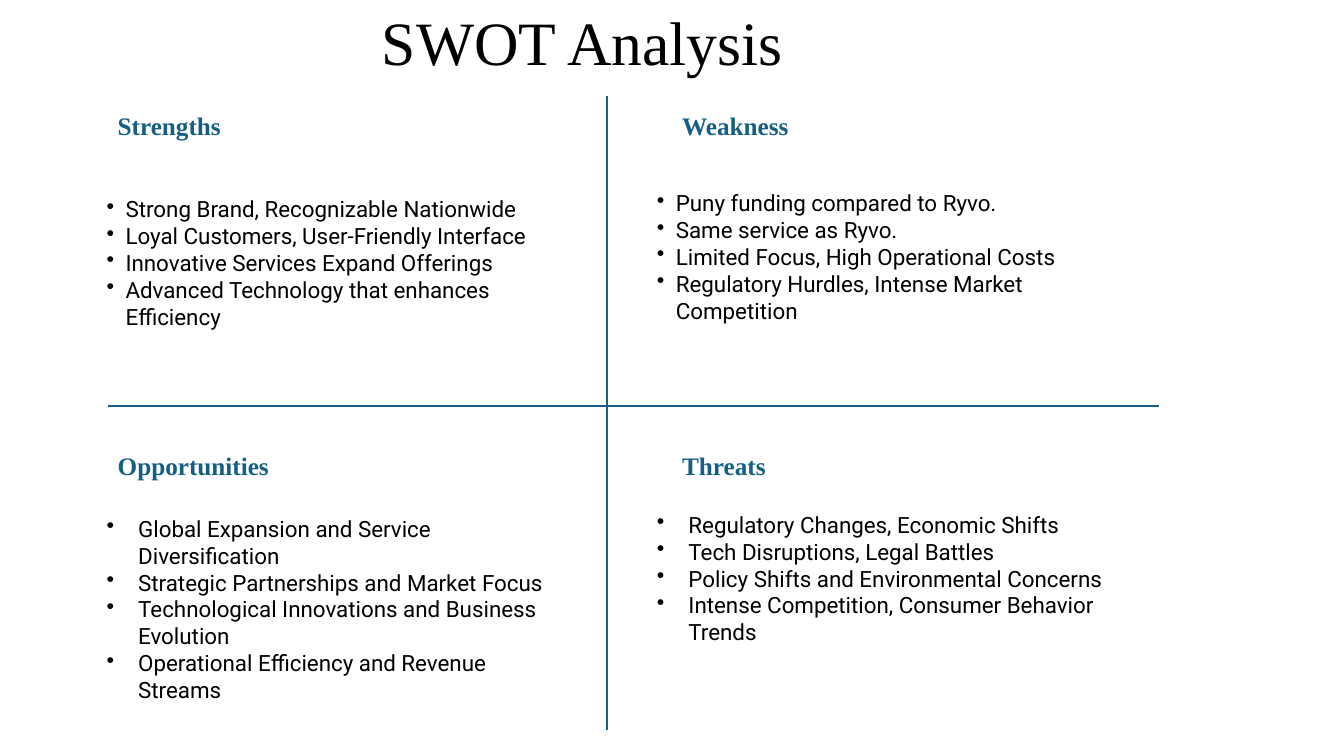
"""Build a SWOT analysis slide with four quadrants divided by two lines."""
from dataclasses import dataclass

from lxml.etree import SubElement
from pptx import Presentation
from pptx.dml.color import RGBColor
from pptx.enum.shapes import MSO_CONNECTOR
from pptx.enum.text import MSO_ANCHOR, MSO_AUTO_SIZE
from pptx.oxml.ns import qn
from pptx.slide import Slide
from pptx.text.text import TextFrame, _Paragraph as Paragraph
from pptx.util import Pt

BLACK = RGBColor(0x00, 0x00, 0x00)
TEAL = RGBColor(0x15, 0x60, 0x82)

TITLE_FORMAT = {"name": "Times New Roman", "size": Pt(44)}
HEADING_FORMAT = {"name": "Times New Roman", "size": Pt(18), "bold": True}
ITEM_FORMAT = {"name": "Roboto", "size": Pt(16)}

HEADING_HEIGHT = 28.8
LIST_HEIGHT = 104.4


@dataclass(frozen=True)
class Box:
    left: float
    top: float
    width: float
    height: float


@dataclass(frozen=True)
class Quadrant:
    heading: str
    heading_box: Box
    list_box: Box
    indent: float
    items: tuple[str, ...]


@dataclass(frozen=True)
class Divider:
    begin_x: float
    begin_y: float
    end_x: float
    end_y: float


DIVIDERS = (
    Divider(433.4, 68.4, 433.4, 521.3),
    Divider(77, 290.2, 828, 290.2),
)

QUADRANTS = (
    Quadrant(
        "Strengths",
        Box(77, 75.6, 93.6, HEADING_HEIGHT),
        Box(69.1, 136.1, 347, LIST_HEIGHT),
        13.5,
        (
            "Strong Brand, Recognizable Nationwide",
            "Loyal Customers, User-Friendly Interface",
            "Innovative Services Expand Offerings",
            "Advanced Technology that enhances Efficiency",
        ),
    ),
    Quadrant(
        "Weakness",
        Box(480.2, 75.6, 91.4, HEADING_HEIGHT),
        Box(462.2, 131.8, 348.5, LIST_HEIGHT),
        13.5,
        (
            "Puny funding compared to Ryvo.",
            "Same service as Ryvo.",
            "Limited Focus, High Operational Costs",
            "Regulatory Hurdles, Intense Market Competition",
        ),
    ),
    Quadrant(
        "Opportunities",
        Box(77, 318.2, 128.2, HEADING_HEIGHT),
        Box(69.1, 364.3, 347, LIST_HEIGHT),
        22.5,
        (
            "Global Expansion and Service Diversification",
            "Strategic Partnerships and Market Focus",
            "Technological Innovations and Business Evolution",
            "Operational Efficiency and Revenue Streams",
        ),
    ),
    Quadrant(
        "Threats",
        Box(480.2, 318.2, 79.2, HEADING_HEIGHT),
        Box(462.2, 361.4, 333.4, LIST_HEIGHT),
        22.5,
        (
            "Regulatory Changes, Economic Shifts",
            "Tech Disruptions, Legal Battles",
            "Policy Shifts and Environmental Concerns",
            "Intense Competition, Consumer Behavior Trends",
        ),
    ),
)


def add_text_frame(slide: Slide, box: Box, wrap: bool, auto_size: MSO_AUTO_SIZE) -> TextFrame:
    shape = slide.shapes.add_textbox(Pt(box.left), Pt(box.top), Pt(box.width), Pt(box.height))
    frame = shape.text_frame
    frame.word_wrap = wrap
    frame.auto_size = auto_size
    return frame


def write(paragraph: Paragraph, text: str, values: dict, color: RGBColor) -> None:
    run = paragraph.add_run()
    run.text = text
    for name, value in values.items():
        setattr(run.font, name, value)
    run.font.color.rgb = color


def add_bullet(paragraph: Paragraph, indent: float) -> None:
    properties = paragraph._p.get_or_add_pPr()
    properties.set("marL", str(Pt(indent)))
    properties.set("indent", str(-Pt(indent)))
    SubElement(properties, qn("a:buChar"), char="•")


def add_title(slide: Slide) -> None:
    frame = add_text_frame(slide, Box(265.7, 2.9, 335.5, 59.8), True, MSO_AUTO_SIZE.NONE)
    frame.vertical_anchor = MSO_ANCHOR.MIDDLE
    paragraph = frame.paragraphs[0]
    paragraph.line_spacing = 0.9
    write(paragraph, "SWOT Analysis", TITLE_FORMAT, BLACK)


def add_divider(slide: Slide, divider: Divider) -> None:
    connector = slide.shapes.add_connector(
        MSO_CONNECTOR.STRAIGHT,
        Pt(divider.begin_x), Pt(divider.begin_y), Pt(divider.end_x), Pt(divider.end_y),
    )
    connector.line.color.rgb = TEAL
    connector.line.width = Pt(1.5)
    SubElement(connector._element.spPr, qn("a:effectLst"))


def add_quadrant(slide: Slide, quadrant: Quadrant) -> None:
    fit = MSO_AUTO_SIZE.SHAPE_TO_FIT_TEXT
    heading = add_text_frame(slide, quadrant.heading_box, False, fit)
    write(heading.paragraphs[0], quadrant.heading, HEADING_FORMAT, TEAL)
    frame = add_text_frame(slide, quadrant.list_box, True, fit)
    for index, item in enumerate(quadrant.items):
        paragraph = frame.add_paragraph() if index else frame.paragraphs[0]
        add_bullet(paragraph, quadrant.indent)
        write(paragraph, item, ITEM_FORMAT, BLACK)


def main() -> None:
    presentation = Presentation()
    presentation.slide_width, presentation.slide_height = Pt(960), Pt(540)
    slide = presentation.slides.add_slide(presentation.slide_layouts[6])
    add_title(slide)
    for divider in DIVIDERS:
        add_divider(slide, divider)
    for quadrant in QUADRANTS:
        add_quadrant(slide, quadrant)
    presentation.save("out.pptx")


if __name__ == "__main__":
    main()
